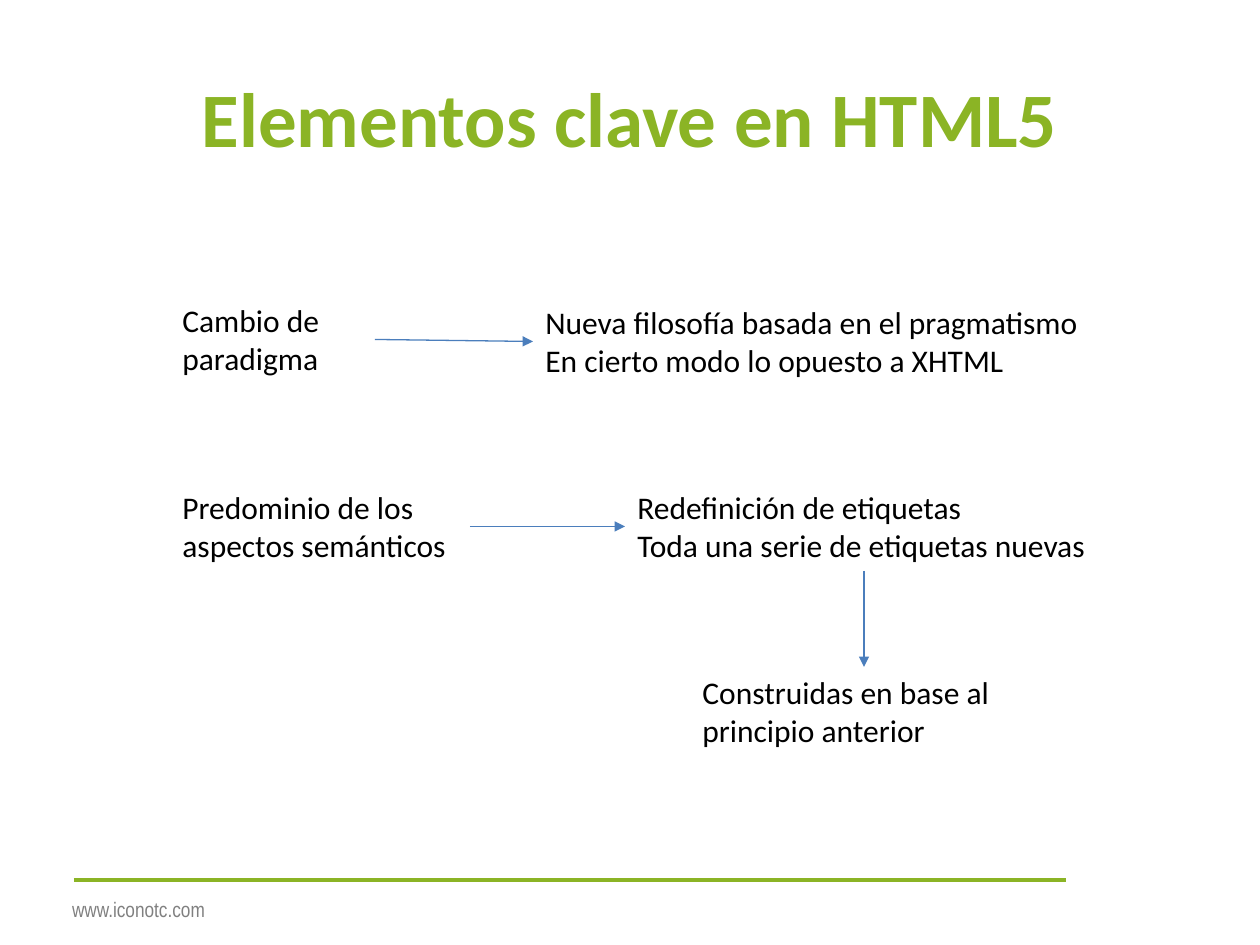
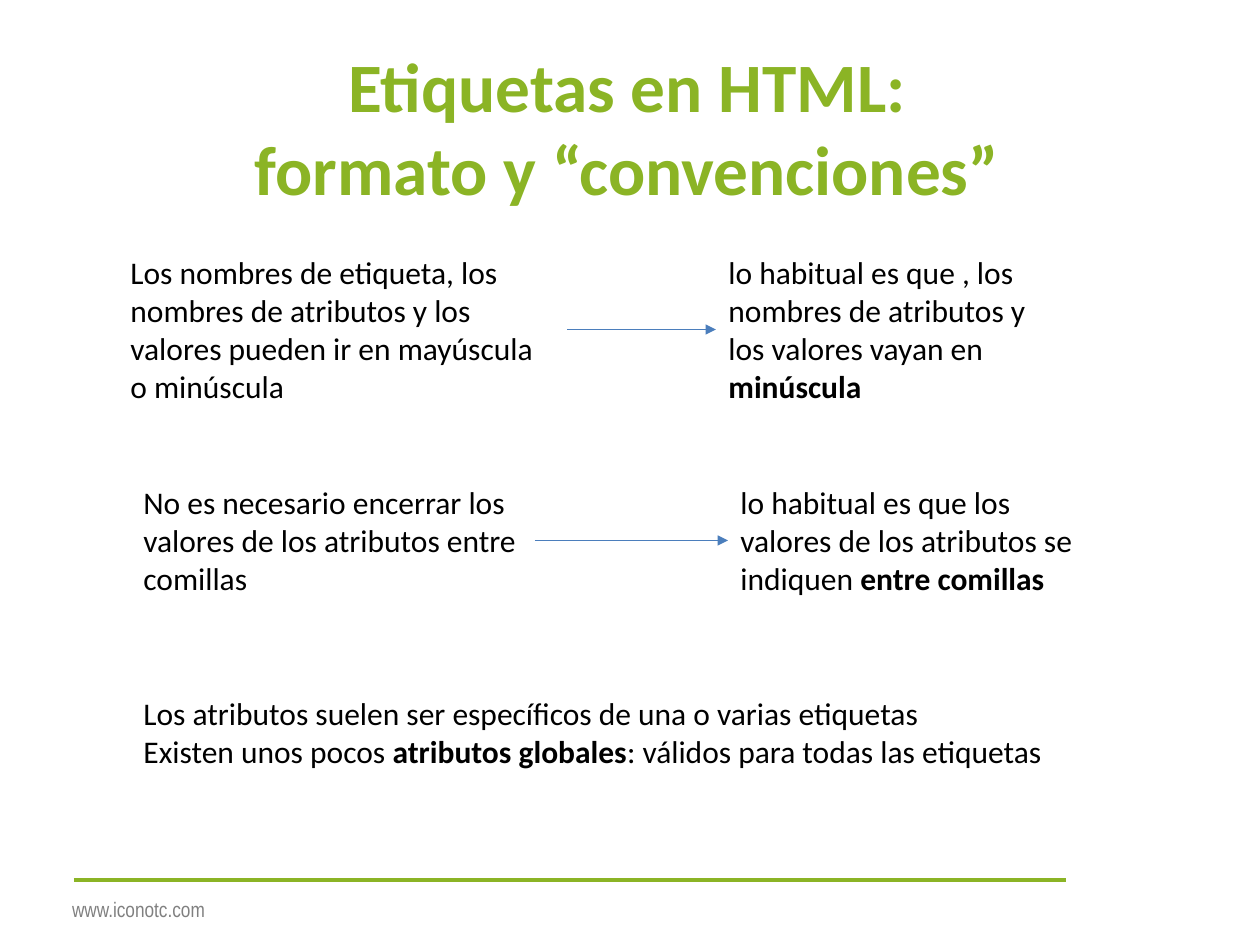
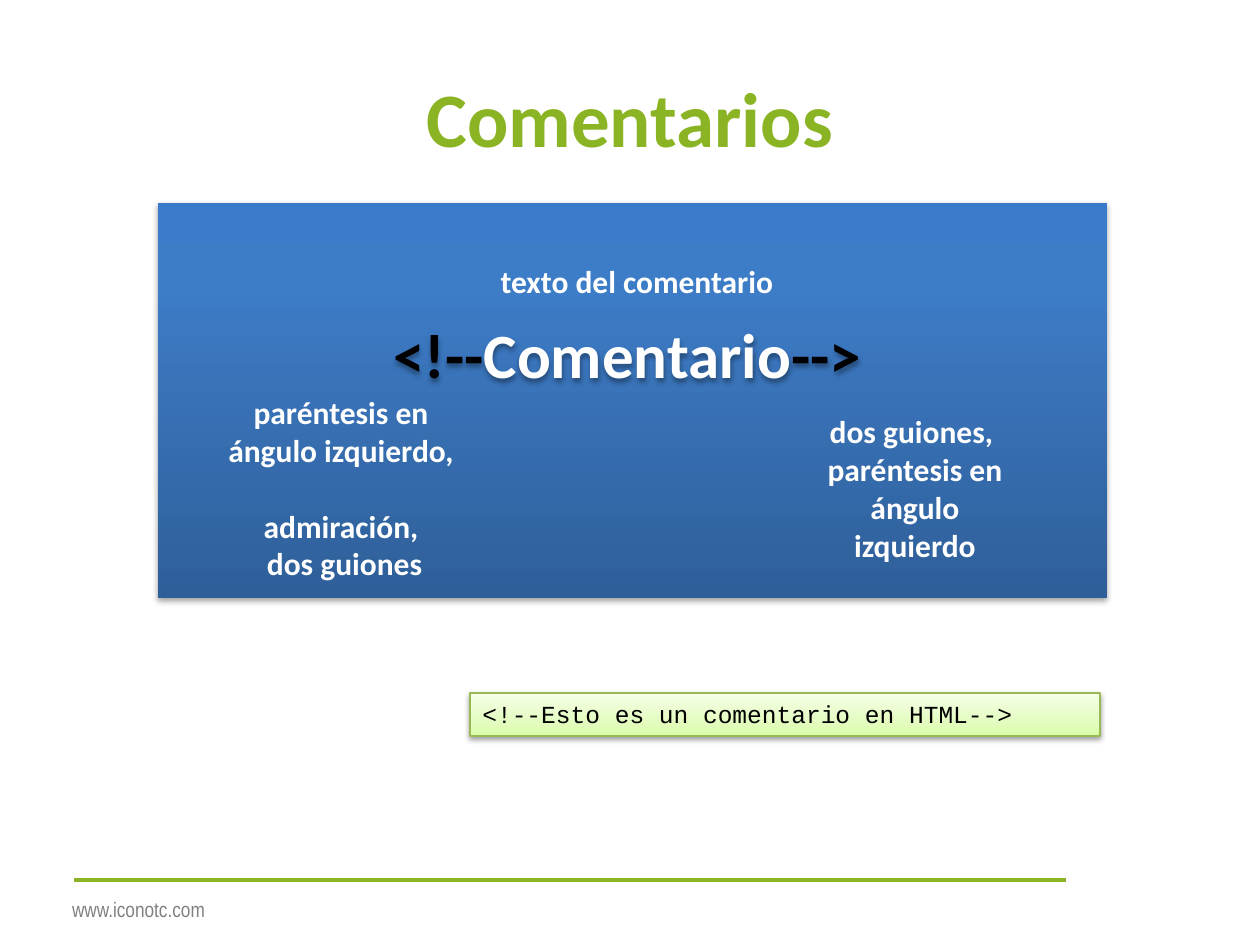
from lxml.etree import SubElement as Sub
from pptx import Presentation
from pptx.dml.color import RGBColor as RGB
from pptx.enum.shapes import MSO_CONNECTOR as LINK, MSO_SHAPE as FORM
from pptx.enum.text import MSO_ANCHOR as ANCHOR, MSO_AUTO_SIZE as FIT, PP_ALIGN as ALIGN
from pptx.oxml.ns import qn
from pptx.util import Pt

PX = 914400 / 126
TOP, LEFT, BOTTOM, RIGHT = range(4)
GREEN = RGB(0x8B, 0xB4, 0x25)
GRAY = RGB(0x80, 0x80, 0x80)
BLACK = RGB(0, 0, 0)
WHITE = RGB(0xFF, 0xFF, 0xFF)
BLUE = RGB(0x4B, 0x7E, 0xBC)
EDGE = RGB(0x98, 0xB9, 0x55)
LIME = [(0, RGB(0xDA, 0xFD, 0xA7)), (35, RGB(0xE4, 0xFC, 0xC2)), (100, RGB(0xF5, 0xFF, 0xE7))]
SEA = [(0, RGB(0x2F, 0x5F, 0x99)), (80, RGB(0x3D, 0x7C, 0xC7)), (100, RGB(0x3A, 0x7C, 0xCB))]
HEAD = (63, 38, 1134, 157)


def emu(*px):
    """Turn pixel lengths into EMU."""
    return [round(n * PX) for n in px]


def put(frame, paras, size=18, font="Calibri", color=BLACK, bold=False,
        align=ALIGN.LEFT, anchor=ANCHOR.TOP, wrap=True, fit=FIT.SHAPE_TO_FIT_TEXT):
    """Write paragraphs made of strings or (string, overrides) runs."""
    frame.word_wrap = wrap
    frame.auto_size = fit
    frame.vertical_anchor = anchor
    for n, runs in enumerate(paras):
        para = frame.add_paragraph() if n else frame.paragraphs[0]
        para.alignment = align
        for item in [runs] if isinstance(runs, str) else runs:
            words, extra = (item, {}) if isinstance(item, str) else item
            for k, part in enumerate(words.split("\n")):
                if k:
                    para.add_line_break()
                run = para.add_run()
                run.text = part
                run.font.size = Pt(size)
                run.font.name = font
                run.font.bold = extra.get("bold", bold)
                run.font.color.rgb = extra.get("color", color)


def label(slide, box, *paras, **look):
    """Add a text box."""
    shape = slide.shapes.add_textbox(*emu(*box))
    put(shape.text_frame, paras, **look)
    return shape


def rule(slide, ends, color, width):
    """Add a plain straight line."""
    line = slide.shapes.add_connector(LINK.STRAIGHT, *emu(*ends))
    line.line.color.rgb = color
    line.line.width = Pt(width)
    Sub(line.element.spPr, qn("a:effectLst"))
    return line


def arrow(slide, start, out, goal, into):
    """Join the sides of two boxes with an arrow."""
    line = rule(slide, (0, 0, 0, 0), BLUE, 0.75)
    line.begin_connect(start, out)
    line.end_connect(goal, into)
    Sub(line.element.spPr.find(qn("a:ln")), qn("a:tailEnd"), type="triangle")


def shade(shape, alpha, dist):
    """Give a shape a soft shadow below it."""
    shape.shadow.inherit = False
    glow = Sub(shape.element.spPr.find(qn("a:effectLst")), qn("a:outerShdw"),
               blurRad=str(Pt(3.1)), dist=str(Pt(dist)), dir="5400000", rotWithShape="0")
    color = Sub(glow, qn("a:srgbClr"), val=str(BLACK))
    Sub(color, qn("a:alpha"), val=str(alpha * 1000))


def block(slide, box, stops, alpha, dist):
    """Add a shaded rectangle with a gradient rising from its base."""
    shape = slide.shapes.add_shape(FORM.RECTANGLE, *emu(*box))
    shape.fill.gradient()
    shape.fill.gradient_angle = 90
    ramp = shape.element.spPr.find(qn("a:gradFill")).find(qn("a:gsLst"))
    for old in list(ramp):
        ramp.remove(old)
    for pos, color in stops:
        stop = Sub(ramp, qn("a:gs"), pos=str(pos * 1000))
        Sub(stop, qn("a:srgbClr"), val=str(color))
    shape.line.fill.background()
    shade(shape, alpha, dist)
    return shape


def footer(deck, slide, box):
    """Draw the band on a slide and move it to the master."""
    x, y, w, h = box
    line = rule(slide, (x, y, x + w, y), GREEN, 2.25)
    site = label(slide, (x - 20, y + 10, 169, h), "www.iconotc.com", size=12,
                 font="Arial Narrow", color=GRAY, align=ALIGN.CENTER)
    for n, part in enumerate((line, site)):
        part.element.xpath(".//p:cNvPr")[0].set("id", str(100 + n))
        deck.slide_master.shapes.element.append(part.element)


def page(deck, title, box=HEAD, size=44):
    """Add a slide with its title."""
    slide = deck.slides.add_slide(deck.slide_layouts[5])
    head = slide.shapes.title
    head.left, head.top, head.width, head.height = emu(*box)
    put(head.text_frame, [title], size=size, color=GREEN, bold=True,
        align=ALIGN.CENTER, anchor=ANCHOR.MIDDLE, fit=FIT.NONE)
    return slide


def pair(slide, box, cut, gap, cause, effect, drop=0, wrap=True):
    """Place a cause, an arrow and its effect in one row."""
    x, y, w, h = box
    start = label(slide, (x, y, cut, h), cause)
    skip = cut + gap
    goal = label(slide, (x + skip, y + drop, w - skip, h), *effect, wrap=wrap)
    arrow(slide, start, RIGHT, goal, LEFT)
    return goal


def syntax(slide, box):
    """Draw the panel that explains the comment marks."""
    x, y, w, h = box
    block(slide, box, SEA, 35, 1.8)
    notes = [
        (55, 184, 256, 165, "paréntesis en ángulo izquierdo, \nadmiración,\n dos guiones"),
        (636, 203, 242, 127, "dos guiones, \nparéntesis en ángulo izquierdo"),
        (322, 53, 314, 51, "texto del comentario"),
    ]
    for dx, dy, wide, high, words in notes:
        label(slide, (x + dx, y + dy, wide, high), words,
              color=WHITE, bold=True, align=ALIGN.CENTER)
    mark = label(slide, (x + 223, y + 107, 542, 86),
                 ["<!--", ("Comentario", {"color": WHITE}), "-->"],
                 size=36, bold=True, anchor=ANCHOR.MIDDLE, fit=FIT.NONE)
    shade(mark, 35, 1.8)


def sample(slide, box):
    """Draw the code sample."""
    shape = block(slide, box, LIME, 38, 1.6)
    shape.line.color.rgb = EDGE
    shape.line.width = Pt(0.75)
    put(shape.text_frame, ["<!--Esto es un comentario en HTML-->"],
        size=14, font="Courier New")


def main():
    """Build the deck."""
    deck = Presentation()
    deck.slide_width, deck.slide_height = emu(1260, 945)
    strong = {"bold": True}

    keys = page(deck, "Elementos clave en HTML5")
    footer(deck, keys, (74, 880, 992, 38))
    pair(keys, (170, 295, 927, 89), 205, 158, "Cambio de paradigma",
         ["Nueva filosofía basada en el pragmatismo",
          "En cierto modo lo opuesto a XHTML"], drop=2, wrap=False)
    tags = pair(keys, (170, 482, 933, 89), 300, 155,
                "Predominio de los aspectos semánticos",
                ["Redefinición de etiquetas",
                 "Toda una serie de etiquetas nuevas"], wrap=False)
    base = label(keys, (690, 667, 348, 89), "Construidas en base al principio anterior")
    arrow(keys, tags, BOTTOM, base, TOP)

    form = page(deck, "Etiquetas en HTML:\nformato y “convenciones”",
                (42, 37, 1170, 178), 39.6)
    pair(form, (118, 247, 955, 165), 449, 149,
         "Los nombres de etiqueta, los nombres de atributos y los valores "
         "pueden ir en mayúscula o minúscula",
         [["lo habitual es que , los nombres de atributos y los valores vayan en ",
           ("minúscula", strong)]])
    pair(form, (131, 477, 961, 127), 404, 193,
         "No es necesario encerrar los valores de los atributos entre comillas",
         [["lo habitual es que los valores de los atributos se indiquen ",
           ("entre comillas", strong)]])
    label(form, (131, 688, 961, 89),
          "Los atributos suelen ser específicos de una o varias etiquetas",
          ["Existen unos pocos ", ("atributos globales", strong),
           ": válidos para todas las etiquetas"])

    notes = page(deck, "Comentarios")
    sample(notes, (470, 693, 630, 43))
    syntax(notes, (158, 203, 949, 395))
    deck.save("out.pptx")


if __name__ == "__main__":
    main()
